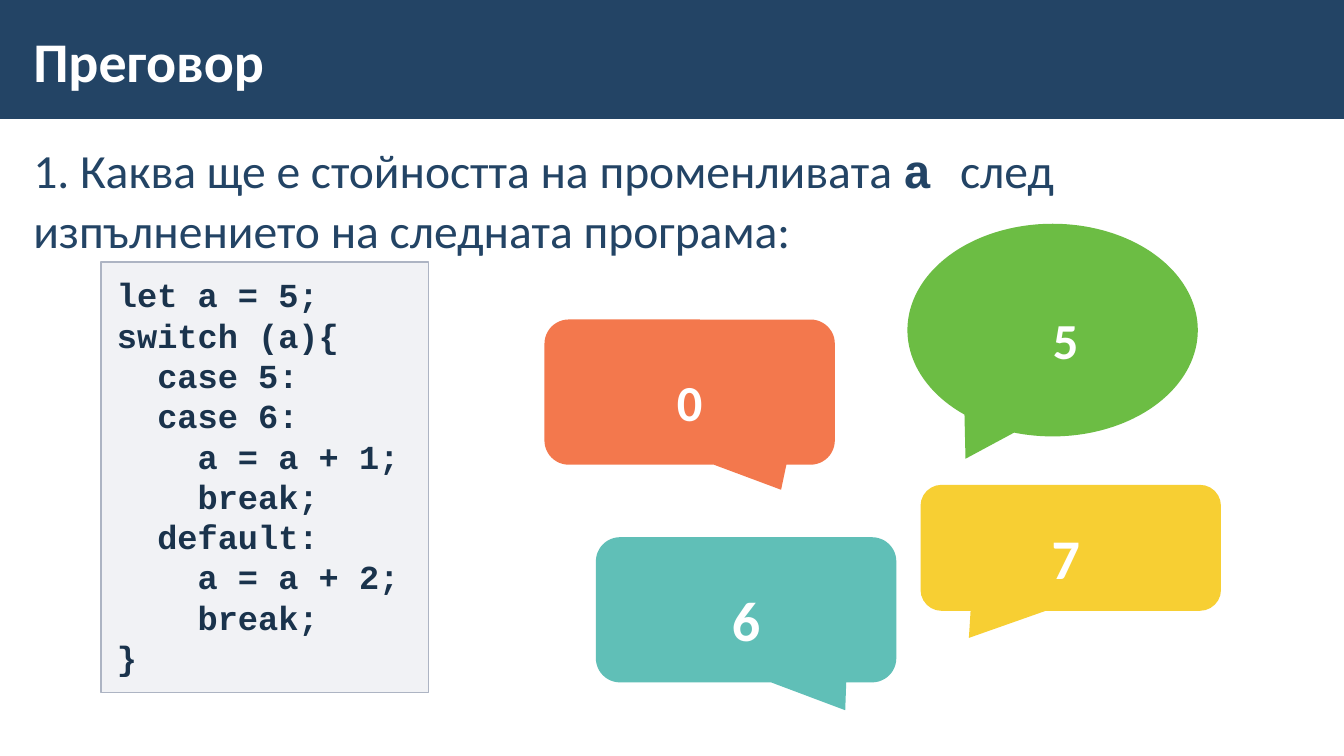
from lxml.etree import SubElement
from pptx import Presentation
from pptx.dml.color import RGBColor
from pptx.enum.shapes import MSO_SHAPE
from pptx.enum.text import MSO_ANCHOR, MSO_AUTO_SIZE, PP_ALIGN
from pptx.oxml.ns import qn
from pptx.util import Inches, Pt

NAVY = RGBColor(0x23, 0x44, 0x65)
CODE_INK = RGBColor(0x1A, 0x33, 0x4C)
CODE_FILL = RGBColor(0xA3, 0xAB, 0xBC)
CODE_LINE = RGBColor(0xAD, 0xB4, 0xC3)
WHITE = RGBColor(0xFF, 0xFF, 0xFF)
GREEN = RGBColor(0x6C, 0xBD, 0x44)
YELLOW = RGBColor(0xF5, 0xC3, 0x00)
ORANGE = RGBColor(0xF1, 0x57, 0x21)
TEAL = RGBColor(0x60, 0xBF, 0xB7)

CODE = """let a = 5;
switch (a){
  case 5:
  case 6:
    a = a + 1;
    break;
  default:
    a = a + 2;
    break;
}"""

ROUND = MSO_SHAPE.ROUNDED_RECTANGULAR_CALLOUT
OVAL = MSO_SHAPE.OVAL_CALLOUT
ANSWERS = [
    ("5", OVAL, (9, 2.22, 2.88, 2.11), (-0.3, 0.605), GREEN, 100, 36, 0.26),
    ("7", ROUND, (9.13, 4.81, 2.98, 1.25), (-0.339, 0.715), YELLOW, 80, 40, -0.1),
    ("0", ROUND, (5.4, 3.17, 2.88, 1.44), (0.315, 0.673), ORANGE, 80, 36, 0),
    ("6", ROUND, (5.91, 5.33, 2.98, 1.44), (0.33, 0.692), TEAL, 100, 40, 0),
]


def place(shape, box):
    """Move a shape to a box given as left, top, width and height in inches."""
    shape.left, shape.top, shape.width, shape.height = map(Inches, box)


def set_margins(frame, left, top, right, bottom):
    """Set the four text insets in inches."""
    frame.margin_left, frame.margin_top = Inches(left), Inches(top)
    frame.margin_right, frame.margin_bottom = Inches(right), Inches(bottom)


def style_font(font, name, size, color, bold):
    """Give a font its face, size, colour and weight."""
    font.name, font.size, font.bold = name, Pt(size), bold
    font.color.rgb = color


def add_block(slide, kind, box, color, opacity=100):
    """Add a filled preset shape without outline or shadow."""
    shape = slide.shapes.add_shape(kind, *map(Inches, box))
    shape.shadow.inherit = False
    shape.fill.solid()
    shape.fill.fore_color.rgb = color
    shape.line.fill.background()
    if opacity < 100:
        fill_color = shape.fill._xPr.find(qn("a:solidFill"))[0]
        SubElement(fill_color, qn("a:alpha"), val=str(opacity * 1000))
    return shape


def add_header(slide, box):
    """Draw the banner behind the title placeholder."""
    left, top, width, height = box
    banner = add_block(slide, MSO_SHAPE.RECTANGLE, box, NAVY)
    slide.shapes._spTree.insert(2, banner._element)
    title = slide.shapes.title
    place(title, (left + 0.21, top + 0.13, 10.39, height - 0.23))
    frame = title.text_frame
    frame.text = "Преговор"
    frame.auto_size = MSO_AUTO_SIZE.NONE
    frame.vertical_anchor = MSO_ANCHOR.MIDDLE
    set_margins(frame, 0.12, 0.04, 0.12, 0.04)
    paragraph = frame.paragraphs[0]
    paragraph.alignment = PP_ALIGN.LEFT
    style_font(paragraph.font, "Calibri", 40, WHITE, True)


def add_question(slide, box):
    """Write the question in the body placeholder."""
    body = slide.placeholders[1]
    place(body, box)
    frame = body.text_frame
    frame.auto_size = MSO_AUTO_SIZE.NONE
    set_margins(frame, 0.12, 0.04, 0.12, 0.04)
    paragraph = frame.paragraphs[0]
    paragraph.line_spacing = 1.05
    paragraph.space_before = paragraph.space_after = Pt(6)
    properties = paragraph._p.get_or_add_pPr()
    properties.set("marL", "0")
    properties.set("indent", "0")
    SubElement(properties, qn("a:buNone"))
    for text, name, bold in (
        ("1. Каква ще е стойността на променливата ", "Calibri", False),
        ("а ", "Courier New", True),
        ("след \vизпълнението на следната програма:", "Calibri", False),
    ):
        for index, part in enumerate(text.split("\v")):
            if index:
                paragraph.add_line_break()
            run = paragraph.add_run()
            run.text = part
            style_font(run.font, name, 34, NAVY, bold)


def add_code(slide, box):
    """Show the program in a bordered panel."""
    panel = add_block(slide, MSO_SHAPE.RECTANGLE, box, CODE_FILL, 15)
    panel.line.color.rgb = CODE_LINE
    panel.line.width = Pt(1)
    frame = panel.text_frame
    frame.text = CODE
    frame.word_wrap = True
    frame.vertical_anchor = MSO_ANCHOR.TOP
    set_margins(frame, 0.16, 0.12, 0.16, 0.12)
    for paragraph in frame.paragraphs:
        paragraph.alignment = PP_ALIGN.LEFT
        style_font(paragraph.font, "Courier New", 24, CODE_INK, True)


def add_answer(slide, text, kind, box, tail, color, opacity, size, shift):
    """Add a speech bubble with one possible answer."""
    bubble = add_block(slide, kind, box, color, opacity)
    bubble.adjustments[0], bubble.adjustments[1] = tail
    frame = bubble.text_frame
    frame.text = text
    frame.word_wrap = True
    frame.vertical_anchor = MSO_ANCHOR.MIDDLE
    set_margins(frame, max(shift, 0), 0.12, max(-shift, 0), 0)
    paragraph = frame.paragraphs[0]
    paragraph.alignment = PP_ALIGN.CENTER
    paragraph.line_spacing = 1.1
    style_font(paragraph.font, "Calibri", size, WHITE, True)


def main():
    """Build and save the slide."""
    presentation = Presentation()
    presentation.slide_width = Inches(13.33)
    presentation.slide_height = Inches(7.5)
    slide = presentation.slides.add_slide(presentation.slide_layouts[1])
    add_header(slide, (0, -0.02, 13.33, 1.2))
    add_question(slide, (0.21, 1.33, 12.91, 5.67))
    add_code(slide, (1, 2.6, 3.25, 4.27))
    for answer in ANSWERS:
        add_answer(slide, *answer)
    presentation.save("out.pptx")


if __name__ == "__main__":
    main()
